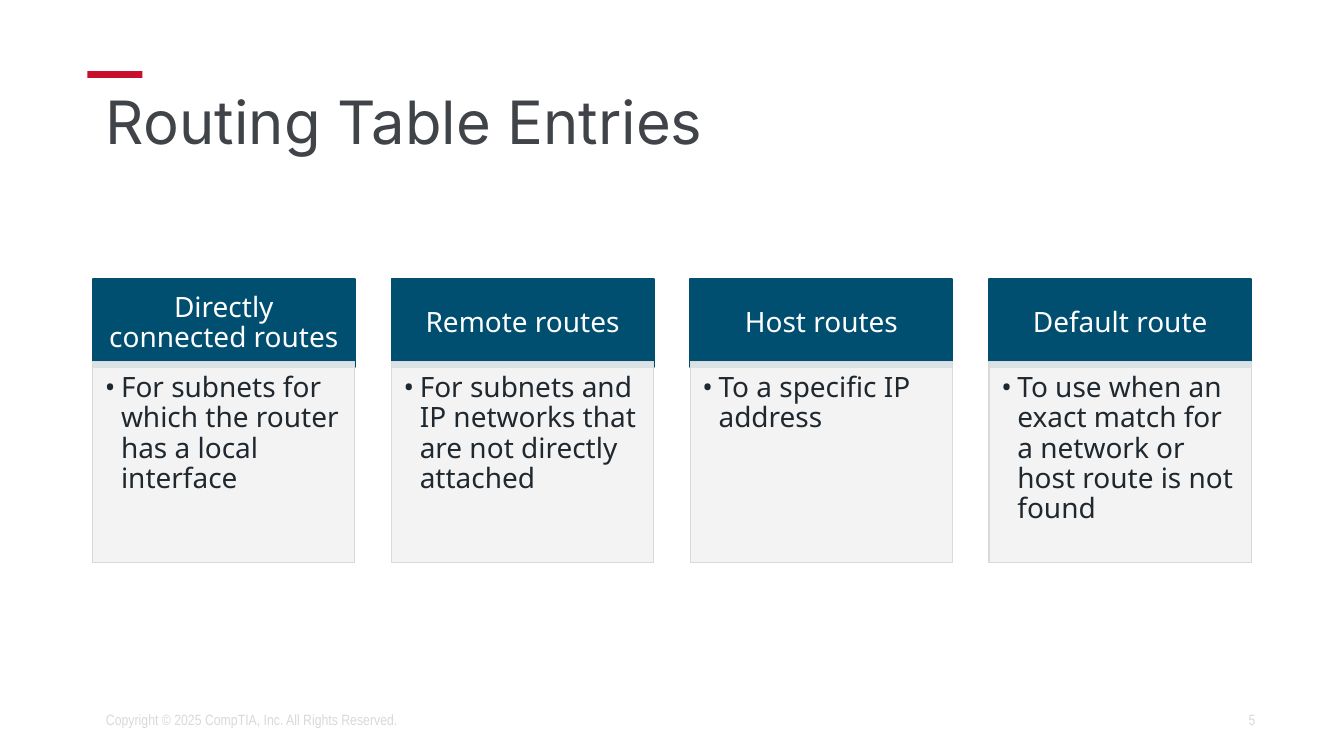
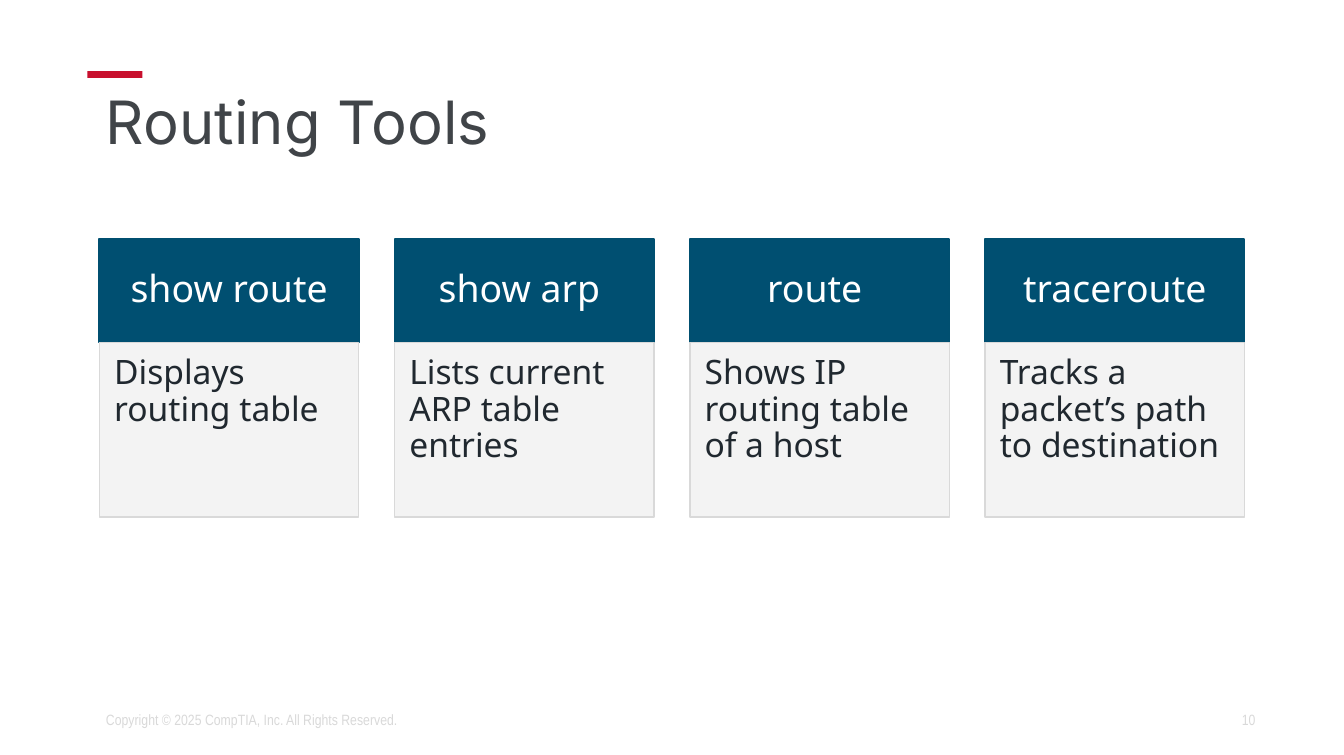
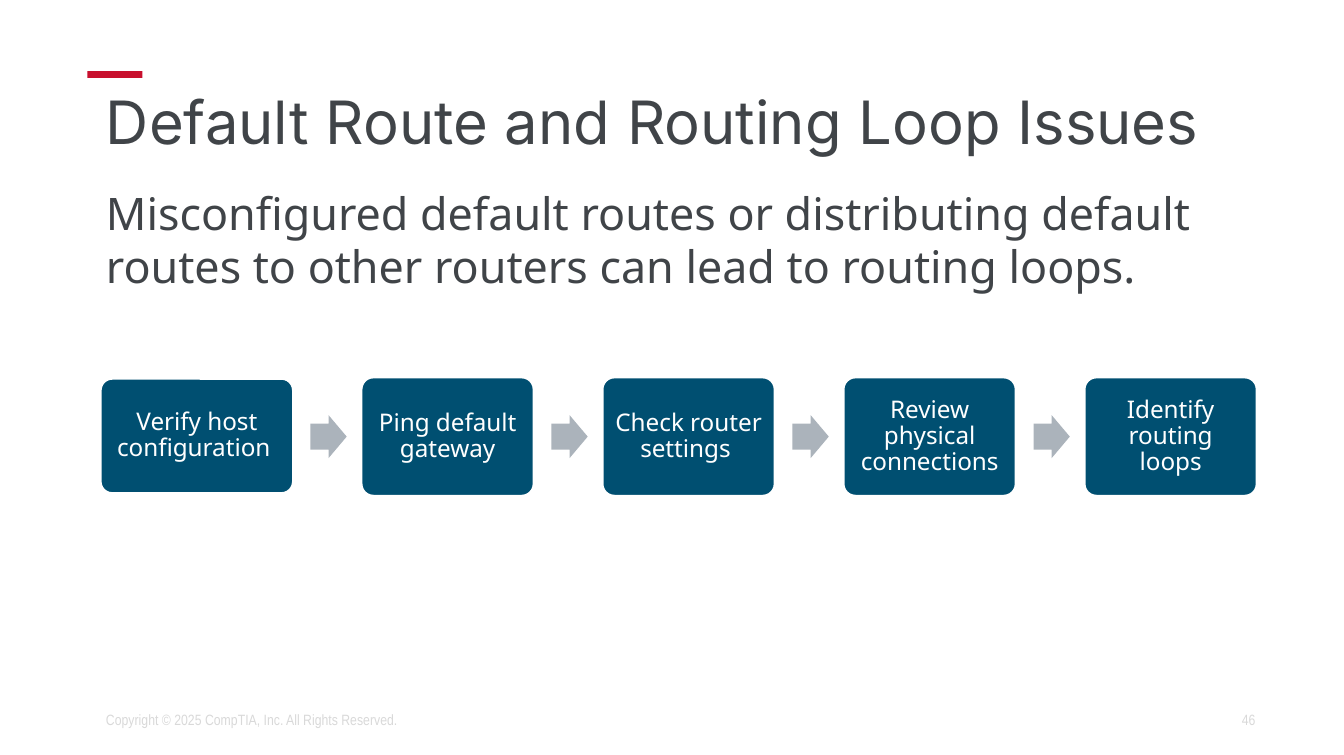
from dataclasses import dataclass

from lxml.etree import SubElement
from pptx import Presentation
from pptx.dml.color import RGBColor
from pptx.enum.shapes import MSO_SHAPE
from pptx.enum.text import MSO_ANCHOR, PP_ALIGN
from pptx.oxml.ns import qn
from pptx.presentation import Presentation as Deck
from pptx.shapes.autoshape import Shape
from pptx.slide import Slide
from pptx.util import Inches, Pt

COLORS = {
    "accent": "C8102E",
    "title": "404448",
    "header": "004F70",
    "step": "004F71",
    "panel": "F2F2F2",
    "rule": "D9D9D9",
    "text": "20282F",
    "arrow": "ABB3BB",
    "white": "FFFFFF",
}
BODY_FONT = "Noto Sans"
COPYRIGHT = "Copyright © 2025 CompTIA, Inc. All Rights Reserved."


@dataclass(frozen=True)
class Rect:
    left: float
    top: float
    width: float
    height: float

    def lengths(self) -> list[int]:
        return [Inches(value) for value in (self.left, self.top, self.width, self.height)]


@dataclass(frozen=True)
class TextStyle:
    size: float
    color: str
    font: str = BODY_FONT
    align: PP_ALIGN = PP_ALIGN.LEFT
    anchor: MSO_ANCHOR = MSO_ANCHOR.TOP
    spacing: float = 0.9
    insets: tuple[float, float, float, float] = (0.1, 0.05, 0.1, 0.05)
    bullet_indent: float = 0


@dataclass(frozen=True)
class Card:
    heading: str
    detail: str


@dataclass(frozen=True)
class CardRow:
    first_left: float
    last_left: float
    top: float
    width: float
    header_height: float
    panel_top: float
    panel_height: float
    header_color: str
    header_style: TextStyle
    panel_style: TextStyle


TITLE = TextStyle(32, "title", "Inter")
LEAD = TextStyle(24, "title", spacing=1)
FOOTER = TextStyle(8, "rule", "Arial Narrow", anchor=MSO_ANCHOR.MIDDLE, spacing=1)
PAGE_NUMBER = TextStyle(8, "rule", "Arial Narrow", PP_ALIGN.RIGHT, MSO_ANCHOR.MIDDLE, 1)
STEP = TextStyle(13, "white", align=PP_ALIGN.CENTER, anchor=MSO_ANCHOR.MIDDLE,
                 insets=(0.05, 0.05, 0.05, 0.05))

ENTRY_ROW = CardRow(
    0.69, 7.36, 2.08, 1.95, 0.65, 2.69, 1.5, "header",
    TextStyle(15, "white", align=PP_ALIGN.CENTER, anchor=MSO_ANCHOR.MIDDLE,
              insets=(0.12, 0.07, 0.12, 0.07)),
    TextStyle(15, "text", insets=(0.09, 0.09, 0.11, 0.13), bullet_indent=0.12),
)
TOOL_ROW = CardRow(
    0.74, 7.33, 1.78, 1.93, 0.77, 2.55, 1.3, "step",
    TextStyle(20, "white", align=PP_ALIGN.CENTER, anchor=MSO_ANCHOR.MIDDLE,
              insets=(0.16, 0.09, 0.16, 0.09)),
    TextStyle(18, "text", insets=(0.11, 0.1, 0.14, 0.16)),
)
ENTRIES = [
    Card("Directly connected routes", "For subnets for which the router has a local interface"),
    Card("Remote routes", "For subnets and IP networks that are not directly attached"),
    Card("Host routes", "To a specific IP address"),
    Card("Default route", "To use when an exact match for a network or host route is not found"),
]
TOOLS = [
    Card("show route", "Displays routing table"),
    Card("show arp ", "Lists current ARP table entries"),
    Card("route ", "Shows IP routing table of a host"),
    Card("traceroute", "Tracks a packet’s path to destination"),
]
STEPS = [
    "Verify host configuration ",
    "Ping default gateway",
    "Check router settings ",
    "Review physical connections",
    "Identify routing loops",
]


def color(name: str) -> RGBColor:
    return RGBColor.from_string(COLORS[name])


def write(shape: Shape, text: str, style: TextStyle) -> None:
    frame = shape.text_frame
    frame.word_wrap = True
    frame.vertical_anchor = style.anchor
    (frame.margin_left, frame.margin_top,
     frame.margin_right, frame.margin_bottom) = map(Inches, style.insets)
    para = frame.paragraphs[0]
    para.alignment = style.align
    para.line_spacing = style.spacing
    if style.bullet_indent:
        properties = para._p.get_or_add_pPr()
        indent = Inches(style.bullet_indent)
        properties.set("marL", str(indent))
        properties.set("indent", str(-indent))
        SubElement(properties, qn("a:buFont")).set("typeface", style.font)
        SubElement(properties, qn("a:buChar")).set("char", "•")
    for index, line in enumerate(text.split("\n")):
        if index:
            para.add_line_break()
        span = para.add_run()
        span.text = line
        span.font.name = style.font
        span.font.size = Pt(style.size)
        span.font.color.rgb = color(style.color)


def add_text(page: Slide, rect: Rect, text: str, style: TextStyle) -> None:
    write(page.shapes.add_textbox(*rect.lengths()), text, style)


def add_block(page: Slide, kind: MSO_SHAPE, rect: Rect, fill: str,
              line: str | None = None, line_width: float = 1) -> Shape:
    shape = page.shapes.add_shape(kind, *rect.lengths())
    shape.shadow.inherit = False
    shape.fill.solid()
    shape.fill.fore_color.rgb = color(fill)
    if line:
        shape.line.color.rgb = color(line)
        shape.line.width = Pt(line_width)
    else:
        shape.line.fill.background()
    return shape


def set_fill_opacity(shape: Shape, percent: int) -> None:
    fill = shape._element.spPr.find(qn("a:solidFill"))
    SubElement(fill[0], qn("a:alpha")).set("val", str(percent * 1000))


def add_page(deck: Deck, title: str, number: int) -> Slide:
    page = deck.slides.add_slide(deck.slide_layouts[6])
    add_block(page, MSO_SHAPE.RECTANGLE, Rect(0.65, 0.53, 0.41, 0.05), "accent")
    add_text(page, Rect(0.69, 0.64, 8.62, 0.63), title, TITLE)
    add_text(page, Rect(7.06, 5.21, 2.38, 0.3), str(number), PAGE_NUMBER)
    add_text(page, Rect(0.69, 5.21, 4.31, 0.3), COPYRIGHT, FOOTER)
    return page


def add_cards(page: Slide, row: CardRow, cards: list[Card]) -> None:
    pitch = (row.last_left - row.first_left) / (len(cards) - 1)
    for index, card in enumerate(cards):
        left = row.first_left + index * pitch
        header = add_block(page, MSO_SHAPE.RECTANGLE,
                           Rect(left, row.top, row.width, row.header_height),
                           row.header_color, "header")
        write(header, card.heading, row.header_style)
        panel = add_block(page, MSO_SHAPE.RECTANGLE,
                          Rect(left, row.panel_top, row.width, row.panel_height),
                          "panel", "rule", 0.75)
        set_fill_opacity(panel, 90)
        write(panel, card.detail, row.panel_style)


def add_step(page: Slide, rect: Rect, label: str) -> None:
    box = add_block(page, MSO_SHAPE.ROUNDED_RECTANGLE, rect, "step", "white")
    box.adjustments[0] = 0.1
    write(box, label, STEP)


def add_steps(page: Slide, steps: list[str]) -> None:
    """Draw a wider first step, then equally spaced steps, each after an arrow."""
    first, *others = steps
    add_step(page, Rect(0.75, 2.82, 1.43, 0.85), first)
    second_left, last_left = 2.69, 8.07
    pitch = (last_left - second_left) / (len(others) - 1)
    for index, label in enumerate(others):
        left = second_left + index * pitch
        arrow = add_block(page, MSO_SHAPE.RIGHT_ARROW,
                          Rect(left - 0.38, 3.09, 0.27, 0.32), "arrow")
        arrow.adjustments[0] = 0.6
        arrow.adjustments[1] = 0.5
        add_step(page, Rect(left, 2.81, 1.28, 0.88), label)


def main() -> None:
    deck = Presentation()
    deck.slide_width = Inches(10)
    deck.slide_height = Inches(5.62)

    add_cards(add_page(deck, "Routing Table Entries", 5), ENTRY_ROW, ENTRIES)
    add_cards(add_page(deck, "Routing Tools", 10), TOOL_ROW, TOOLS)

    page = add_page(deck, "Default Route and Routing Loop Issues", 46)
    add_text(page, Rect(0.69, 1.33, 8.62, 3.64),
             "Misconfigured default routes or distributing default \n"
             "routes to other routers can lead to routing loops.", LEAD)
    add_steps(page, STEPS)

    deck.save("out.pptx")


if __name__ == "__main__":
    main()
